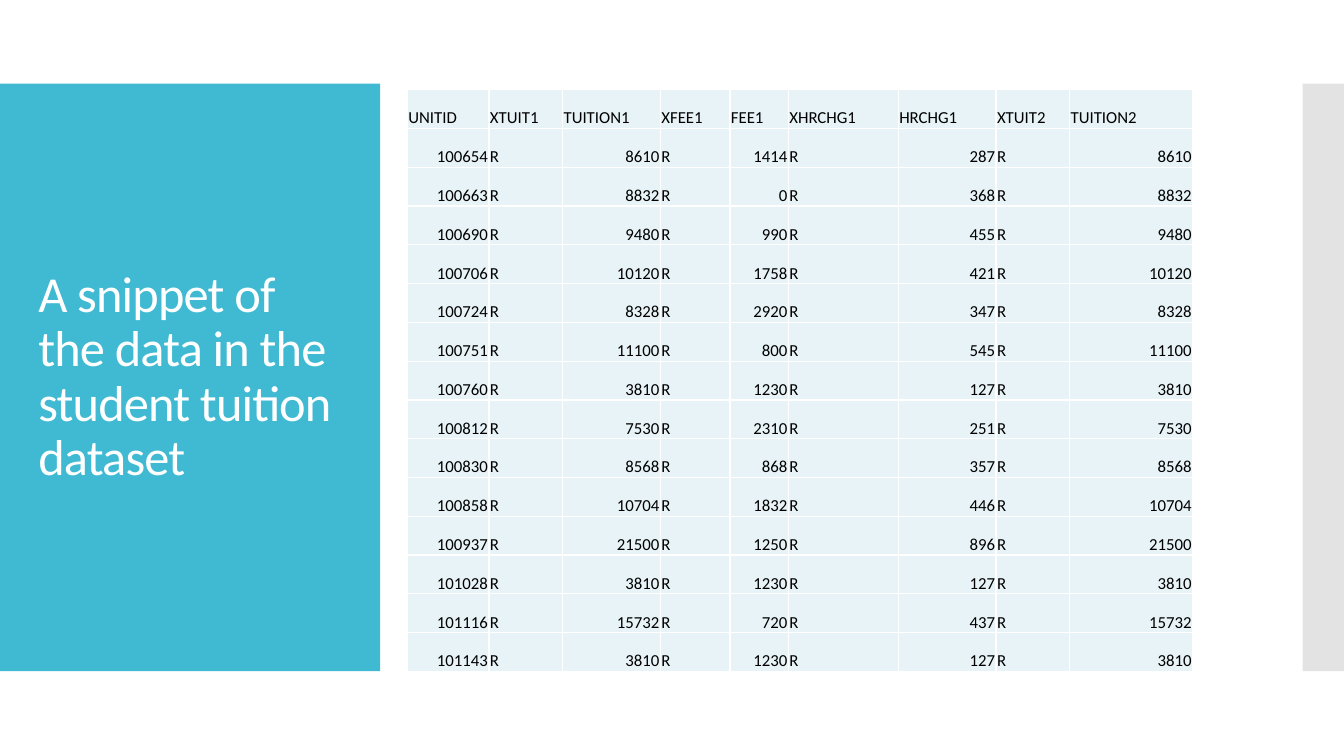
from dataclasses import dataclass

from lxml import etree
from pptx import Presentation
from pptx.dml.color import RGBColor
from pptx.enum.shapes import MSO_SHAPE
from pptx.enum.text import MSO_ANCHOR, MSO_AUTO_SIZE, PP_ALIGN
from pptx.oxml.ns import qn
from pptx.shapes.autoshape import Shape
from pptx.slide import Slide
from pptx.table import _Cell
from pptx.util import Inches, Pt

RECTANGLE = MSO_SHAPE.RECTANGLE
MIDDLE, BOTTOM = MSO_ANCHOR.MIDDLE, MSO_ANCHOR.BOTTOM
LEFT, RIGHT = PP_ALIGN.LEFT, PP_ALIGN.RIGHT
NO_AUTOFIT = MSO_AUTO_SIZE.NONE

FONT = "Calibri"
TURQUOISE = RGBColor(0x40, 0xBA, 0xD2)
GREY = RGBColor(0xC8, 0xC8, 0xC8)
PALE_BLUE = RGBColor(0xE8, 0xF3, 0xF7)
WHITE = RGBColor(0xFF, 0xFF, 0xFF)
BLACK = RGBColor(0x00, 0x00, 0x00)

BAND_TOP, BAND_HEIGHT = 0.83, 5.83
TABLE_LEFT, TABLE_TOP, TABLE_HEIGHT = 4.04, 0.89, 5.77
CELL_MARGIN = Inches(0.01)
FLAG = "R"


@dataclass(frozen=True)
class Panel:
    left: float
    width: float
    color: RGBColor
    opacity: int = 100


@dataclass(frozen=True)
class Column:
    heading: str
    width: float


@dataclass(frozen=True)
class School:
    unit_id: int
    tuition: int
    fee: int
    hourly_charge: int

    def values(self) -> list[str]:
        """Table row; both tuition columns hold the same amount."""
        amounts = (self.tuition, self.fee, self.hourly_charge, self.tuition)
        row = [str(self.unit_id)]
        for amount in amounts:
            row += [FLAG, str(amount)]
        return row


PANELS = (Panel(0, 3.77, TURQUOISE), Panel(12.92, 0.42, GREY, 50))

COLUMNS = (
    Column("UNITID", 0.81),
    Column("XTUIT1", 0.73),
    Column("TUITION1", 0.97),
    Column("XFEE1", 0.69),
    Column("FEE1", 0.58),
    Column("XHRCHG1", 1.09),
    Column("HRCHG1", 0.97),
    Column("XTUIT2", 0.73),
    Column("TUITION2", 1.22),
)

SCHOOLS = (
    School(100654, 8610, 1414, 287),
    School(100663, 8832, 0, 368),
    School(100690, 9480, 990, 455),
    School(100706, 10120, 1758, 421),
    School(100724, 8328, 2920, 347),
    School(100751, 11100, 800, 545),
    School(100760, 3810, 1230, 127),
    School(100812, 7530, 2310, 251),
    School(100830, 8568, 868, 357),
    School(100858, 10704, 1832, 446),
    School(100937, 21500, 1250, 896),
    School(101028, 3810, 1230, 127),
    School(101116, 15732, 720, 437),
    School(101143, 3810, 1230, 127),
)


def add_panel(slide: Slide, panel: Panel) -> None:
    """Draw a side panel behind the title."""
    shape: Shape = slide.shapes.add_shape(
        RECTANGLE, Inches(panel.left), Inches(BAND_TOP),
        Inches(panel.width), Inches(BAND_HEIGHT))
    shape.shadow.inherit = False
    shape.line.fill.background()
    shape.fill.solid()
    shape.fill.fore_color.rgb = panel.color
    if panel.opacity < 100:
        color = shape.element.spPr.find(f"{qn('a:solidFill')}/{qn('a:srgbClr')}")
        etree.SubElement(color, qn("a:alpha"), val=str(panel.opacity * 1000))
    slide.shapes.title.element.addprevious(shape.element)


def write_title(slide: Slide, text: str) -> None:
    title = slide.shapes.title
    title.left, title.top = Inches(0.28), Inches(1.23)
    title.width, title.height = Inches(3.22), Inches(5.03)
    frame = title.text_frame
    frame.text = text
    frame.word_wrap = True
    frame.auto_size = NO_AUTOFIT
    frame.vertical_anchor = MIDDLE
    paragraph = frame.paragraphs[0]
    paragraph.alignment = LEFT
    paragraph.line_spacing = 0.9
    paragraph.font.name = FONT
    paragraph.font.size = Pt(36)
    paragraph.font.color.rgb = WHITE
    paragraph.runs[0]._r.get_or_add_rPr().set("spc", "-60")


def add_borders(cell: _Cell) -> None:
    properties = cell._tc.get_or_add_tcPr()
    for side in ("lnL", "lnR", "lnT", "lnB"):
        line = etree.SubElement(properties, qn(f"a:{side}"), w=str(Pt(1)))
        fill = etree.SubElement(line, qn("a:solidFill"))
        etree.SubElement(fill, qn("a:srgbClr"), val=str(WHITE))


def write_cell(cell: _Cell, text: str) -> None:
    add_borders(cell)
    cell.fill.solid()
    cell.fill.fore_color.rgb = PALE_BLUE
    cell.margin_left = cell.margin_right = cell.margin_top = CELL_MARGIN
    cell.margin_bottom = 0
    cell.vertical_anchor = BOTTOM
    cell.text = text
    paragraph = cell.text_frame.paragraphs[0]
    paragraph.alignment = RIGHT if text.isdigit() else LEFT
    paragraph.font.name = FONT
    paragraph.font.size = Pt(12)
    paragraph.font.color.rgb = BLACK


def add_tuition_table(slide: Slide) -> None:
    rows = [[column.heading for column in COLUMNS]]
    rows += [school.values() for school in SCHOOLS]
    total_width = sum(column.width for column in COLUMNS)
    table = slide.shapes.add_table(
        len(rows), len(COLUMNS), Inches(TABLE_LEFT), Inches(TABLE_TOP),
        Inches(total_width), Inches(TABLE_HEIGHT)).table
    table.first_row = False
    table.horz_banding = False
    for table_column, column in zip(table.columns, COLUMNS):
        table_column.width = Inches(column.width)
    for row_index, row in enumerate(rows):
        for column_index, text in enumerate(row):
            write_cell(table.cell(row_index, column_index), text)


def main() -> None:
    presentation = Presentation()
    presentation.slide_width = Inches(13.33)
    presentation.slide_height = Inches(7.5)
    title_only = presentation.slide_layouts[5]
    slide = presentation.slides.add_slide(title_only)
    write_title(slide, "A snippet of the data in the student tuition dataset")
    for panel in PANELS:
        add_panel(slide, panel)
    add_tuition_table(slide)
    presentation.save("out.pptx")


if __name__ == "__main__":
    main()
